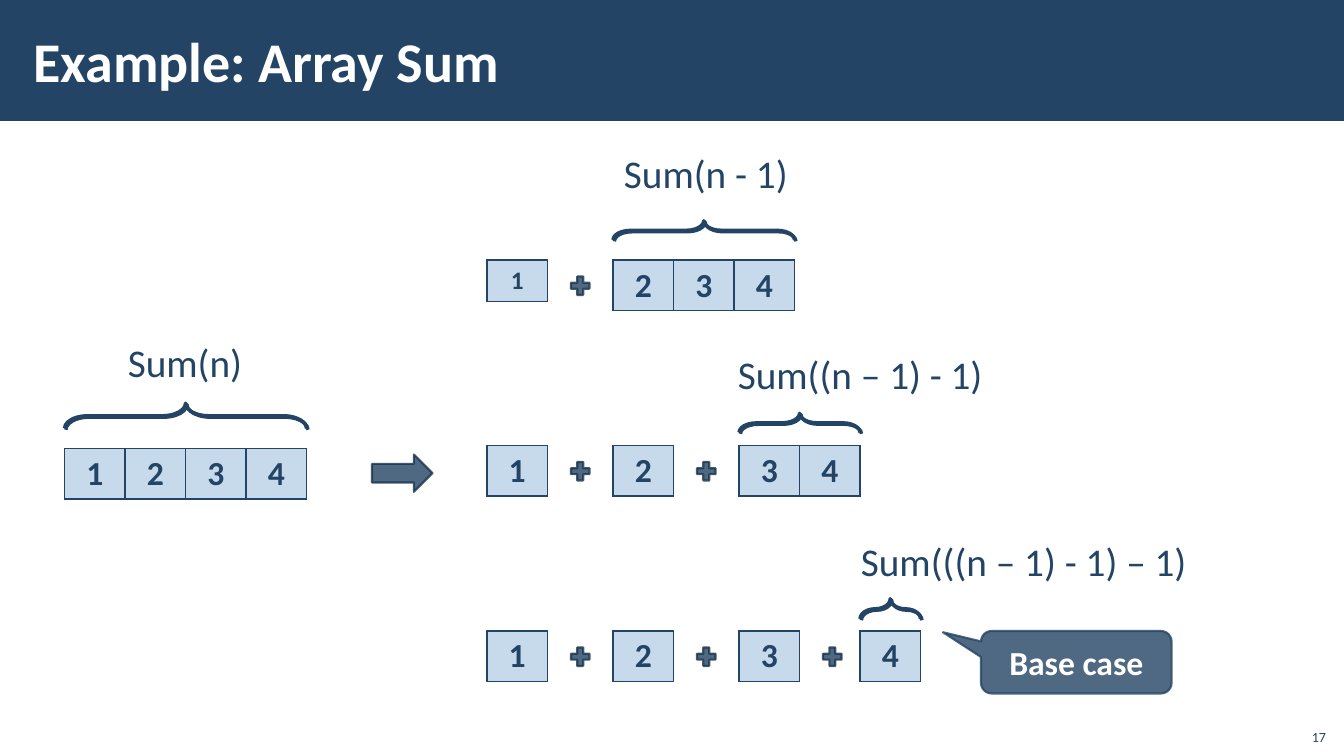
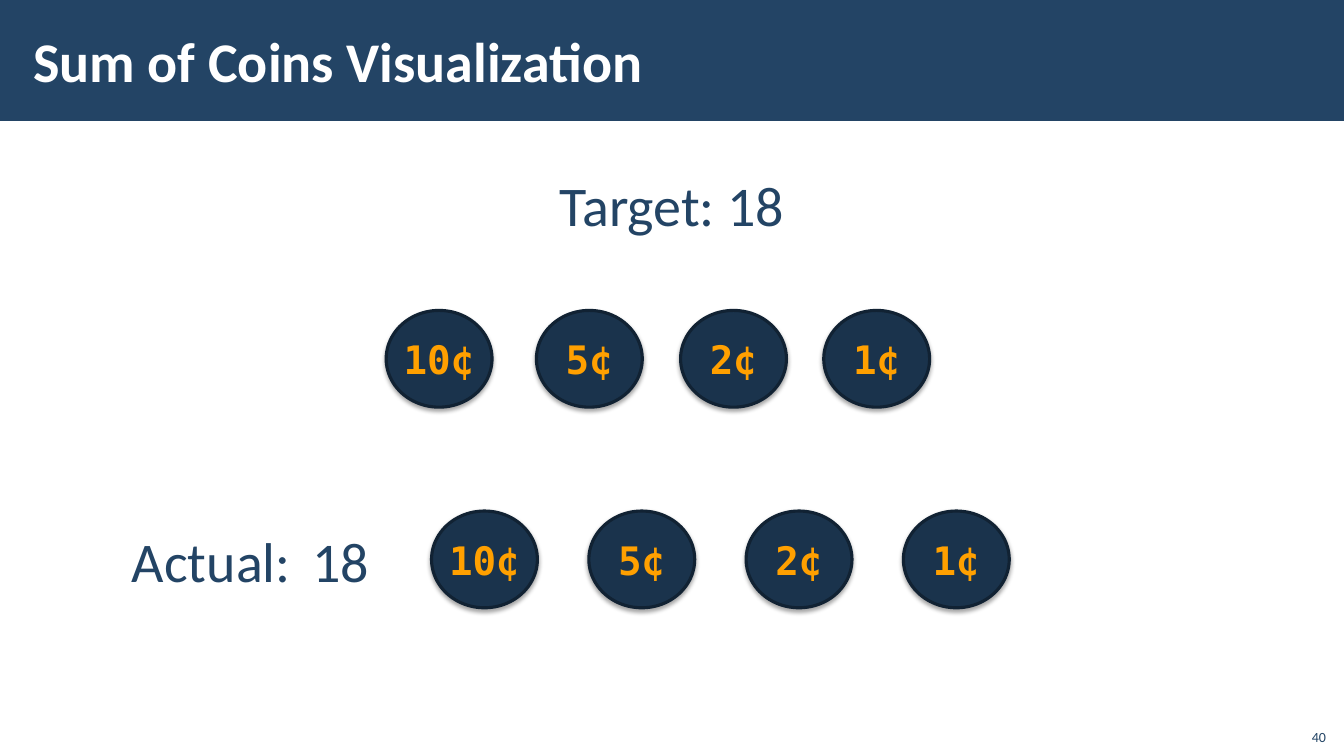
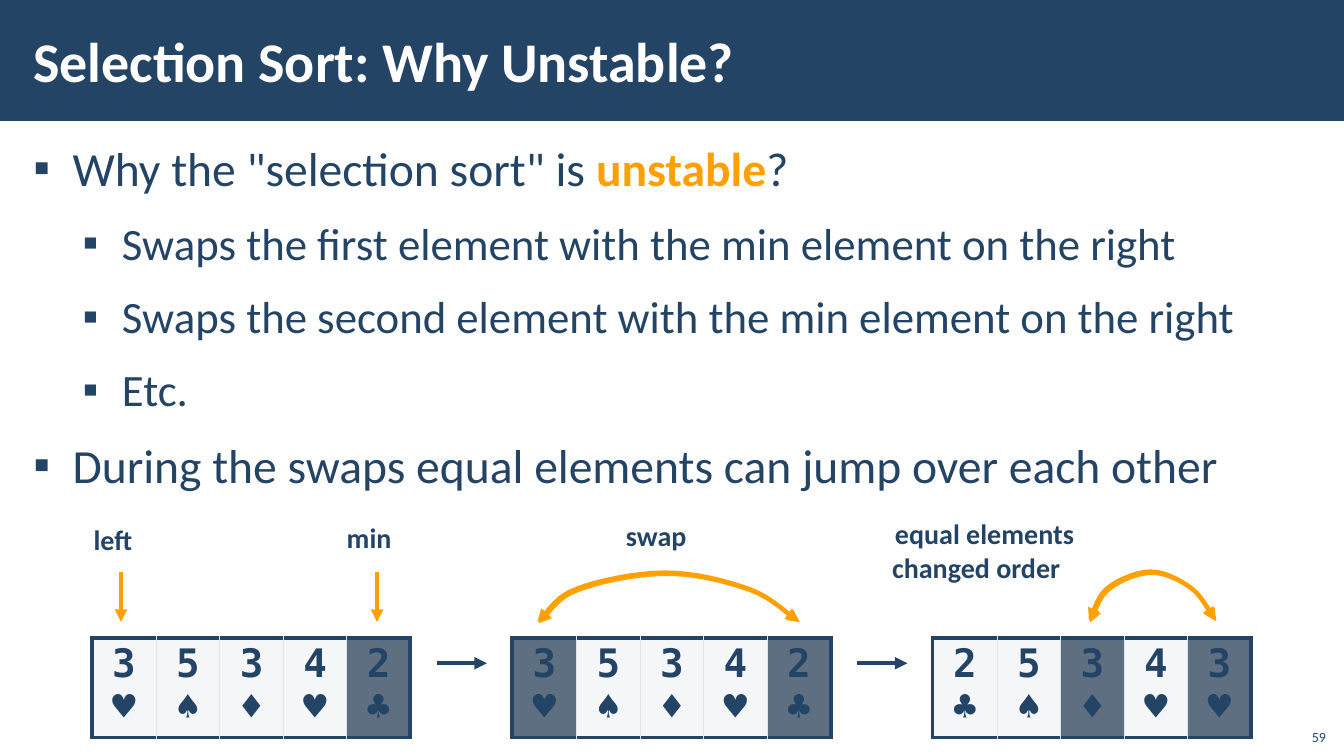
import pptx
import pptx.dml.color
import pptx.enum.shapes
import pptx.enum.text
import pptx.oxml.ns
import pptx.oxml.xmlchemy
import pptx.util

PX = 9144
NAVY, DEEP, INK, ORANGE, WHITE = "234465", "1A334C", "112233", "FFA000", "FFFFFF"
PALE, MIST = "C7DAEC", "E0E3E9"
SANS, MONO = "Calibri", "DejaVu Sans Mono"
SHAPE = pptx.enum.shapes.MSO_SHAPE
ALIGN = pptx.enum.text.PP_ALIGN
ANCHOR = pptx.enum.text.MSO_ANCHOR
FIT = pptx.enum.text.MSO_AUTO_SIZE
qn = pptx.oxml.ns.qn

CELL = 60
TERM_OFFSETS = (0, 125, 250, 370)
ARC = ((0, 1), (.03, .9), (.06, .49), (.15, .33), (.23, .16), (.38, 0), (.49, 0),
       (.6, 0), (.72, .16), (.81, .33), (.9, .5), (.96, .86), (1, .98))


def px(*values):
    return [pptx.util.Emu(round(v * PX)) for v in values]


def rgb(color):
    return pptx.dml.color.RGBColor.from_string(color)


def put(obj, fmt):
    for name, value in fmt.items():
        setattr(obj, name, value)


def add_xml(parent, tag, **attrs):
    el = pptx.oxml.xmlchemy.OxmlElement(tag)
    for name, value in attrs.items():
        el.set(name, str(value))
    parent.append(el)
    return el


def add_color(parent, color, alpha=100):
    clr = add_xml(parent, "a:srgbClr", val=color)
    if alpha < 100:
        add_xml(clr, "a:alpha", val=alpha * 1000)


def paint(fill, color, alpha=100):
    fill.solid()
    fill.fore_color.rgb = rgb(color)
    if alpha < 100:
        clr = fill._xPr.find(qn("a:solidFill")).find(qn("a:srgbClr"))
        add_xml(clr, "a:alpha", val=alpha * 1000)


def stroke(line, color, width, alpha=100):
    paint(line.fill, color, alpha)
    line.width = pptx.util.Pt(width)


def add_run(p, text, size, color=NAVY, bold=False, font=SANS):
    r = p.add_run()
    r.text = text
    put(r.font, {"size": pptx.util.Pt(size), "name": font, "bold": bold})
    r.font.color.rgb = rgb(color)


def drop_shadow(sp, color, alpha, blur, dist, angle):
    sp.shadow.inherit = False
    effects = sp.element.spPr.find(qn("a:effectLst"))
    shadow = add_xml(effects, "a:outerShdw", blurRad=round(blur * 12700),
                     dist=round(dist * 12700), dir=angle * 60000, rotWithShape=0)
    add_color(shadow, color, alpha)


def add_shape(s, kind, box, fill=None, alpha=100, line=None, width=1.5):
    sp = s.shapes.add_shape(kind, *px(*box))
    sp.shadow.inherit = False
    if fill:
        paint(sp.fill, fill, alpha)
    else:
        sp.fill.background()
    if line:
        stroke(sp.line, line, width, alpha)
    else:
        sp.line.fill.background()
    return sp


def fill_text(sp, text, size, color, font=SANS, inset=None):
    tf = sp.text_frame
    tf.vertical_anchor = ANCHOR.MIDDLE
    if inset is not None:
        put(tf, dict.fromkeys(("margin_left", "margin_top", "margin_right", "margin_bottom"), inset))
    p = tf.paragraphs[0]
    p.alignment = ALIGN.CENTER
    add_run(p, text, size, color, True, font)


def add_label(s, box, lines, size, bold=False):
    tf = s.shapes.add_textbox(*px(*box)).text_frame
    put(tf, {"word_wrap": False, "auto_size": FIT.SHAPE_TO_FIT_TEXT})
    for i, (text, align) in enumerate(lines):
        p = tf.paragraphs[0] if i == 0 else tf.add_paragraph()
        p.alignment = align
        add_run(p, text, size, NAVY, bold)


def add_border(cell, **sides):
    tcPr = cell._tc.get_or_add_tcPr()
    for side in "LRTB":
        color, width = sides[side]
        ln = add_xml(tcPr, "a:ln" + side, w=width * 12700)
        add_color(add_xml(ln, "a:solidFill"), color)


def add_cells(s, x, y, widths, height):
    frame = s.shapes.add_table(1, len(widths), *px(x, y, sum(widths), height))
    table = frame.table
    put(table, {"first_row": False, "horz_banding": False})
    for column, width in zip(table.columns, widths):
        column.width = px(width)[0]
    return table.rows[0].cells


def add_array(s, x, y, values, size=24):
    edge = (NAVY, 1)
    for cell, value in zip(add_cells(s, x, y, [CELL] * len(values), 41), values):
        add_border(cell, L=edge, R=edge, T=edge, B=edge)
        paint(cell.fill, PALE)
        p = cell.text_frame.paragraphs[0]
        p.alignment = ALIGN.CENTER
        add_run(p, value, size, NAVY, True)


def add_brace(s, x, y, w, h):
    box = (x + (w - h) / 2, y + (h - w) / 2, h, w)
    sp = add_shape(s, SHAPE.LEFT_BRACE, box, line=NAVY, width=2.5)
    sp.rotation = 90
    sp.adjustments[0], sp.adjustments[1] = .919, .5
    drop_shadow(sp, NAVY, 100, 0, 1.4, 45)


def add_sum_row(s, x, y, terms, label, label_box, brace_gap, brace_height, first_size=24):
    for i, values in enumerate(terms):
        left = x + TERM_OFFSETS[i]
        add_array(s, left, y, values, first_size if i == 0 else 24)
        if i:
            plus = (x + 80 + 125 * (i - 1), y + 13, 25, 25)
            add_shape(s, SHAPE.MATH_PLUS, plus, NAVY, 80, DEEP)
    add_brace(s, left, y - brace_gap, CELL * len(terms[-1]), brace_height)
    dx, dy, w = label_box
    add_label(s, (left + dx, y + dy, w, 57), [(label, ALIGN.LEFT)], 28)


def add_coins(s, x, y, offsets):
    for dx, text in zip(offsets, ("10¢", "5¢", "2¢", "1¢")):
        sp = add_shape(s, SHAPE.OVAL, (x + dx, y, 105, 96), DEEP, line=INK, width=2.25)
        drop_shadow(sp, "000000", 35, 3.1, 1.8, 90)
        fill_text(sp, text, 28, ORANGE, MONO, 0)


def add_cards(s, x, y, cards, dark):
    thick, thin = (NAVY, 3), (MIST, 1)
    last = len(cards) - 1
    for i, cell in enumerate(add_cells(s, x, y, [64, 63, 63, 63, 63], 41)):
        add_border(cell, L=thin if i else thick, R=thin if i < last else thick, T=thick, B=thick)
        if i in dark:
            paint(cell.fill, DEEP, 70)
        else:
            paint(cell.fill, MIST, 30)
        p = cell.text_frame.paragraphs[0]
        put(p, {"alignment": ALIGN.CENTER, "line_spacing": .95})
        add_run(p, cards[i], 28, NAVY, True, MONO)


def add_arrow(s, x1, y1, x2, y2, color):
    line = s.shapes.add_connector(pptx.enum.shapes.MSO_CONNECTOR.STRAIGHT, *px(x1, y1, x2, y2))
    stroke(line.line, color, 3)
    add_xml(line.line._get_or_add_ln(), "a:tailEnd", type="triangle")
    add_xml(line.element.spPr, "a:effectLst")


def add_swap_arc(s, x, y, w, h, steps=10):
    nodes = [(x + w * u, y + h * v) for u, v in ARC]
    points = nodes[:1]
    for k in range(0, len(nodes) - 1, 3):
        a, b, c, d = nodes[k:k + 4]
        for i in range(1, steps + 1):
            t = i / steps
            points.append([(1 - t) ** 3 * a[j] + 3 * t * (1 - t) ** 2 * b[j]
                           + 3 * t * t * (1 - t) * c[j] + t ** 3 * d[j] for j in (0, 1)])
    builder = s.shapes.build_freeform(*px(*points[0]), scale=1.0)
    builder.add_line_segments([px(*point) for point in points[1:]], close=False)
    sp = builder.convert_to_shape()
    sp.fill.background()
    stroke(sp.line, ORANGE, 3)
    ln = sp.line._get_or_add_ln()
    for end in ("a:headEnd", "a:tailEnd"):
        add_xml(ln, end, type="triangle")
    drop_shadow(sp, "FFA50D", 100, 0, 1.4, 45)


def place(sp, box, anchor):
    put(sp, dict(zip(("left", "top", "width", "height"), px(*box))))
    left, top = px(12, 4)
    put(sp.text_frame, {"margin_left": left, "margin_right": left, "margin_top": top,
                        "margin_bottom": top, "vertical_anchor": anchor,
                        "word_wrap": True, "auto_size": FIT.NONE})
    return sp.text_frame


def new_slide(prs, layout, title, number):
    s = prs.slides.add_slide(prs.slide_layouts[layout])
    p = place(s.shapes.title, (21, 11, 1063, 97), ANCHOR.MIDDLE).paragraphs[0]
    p.alignment = ALIGN.LEFT
    add_run(p, title, 40, WHITE, True)
    tf = s.shapes.add_textbox(*px(1285, 712, 40, 32)).text_frame
    put(tf, {"word_wrap": True, "vertical_anchor": ANCHOR.BOTTOM})
    tf.paragraphs[0].alignment = ALIGN.RIGHT
    add_run(tf.paragraphs[0], number, 10)
    return s


def add_band(prs, s):
    band = add_shape(s, SHAPE.RECTANGLE, (0, 0, 1334, 120), NAVY)
    prs.slide_master.shapes.element.insert(2, band.element)


def add_bullets(tf, items):
    for i, (level, size, runs) in enumerate(items):
        p = tf.paragraphs[0] if i == 0 else tf.add_paragraph()
        put(p, {"level": level, "alignment": ALIGN.LEFT, "line_spacing": 1.05,
                "space_before": pptx.util.Pt(6), "space_after": pptx.util.Pt(6)})
        pPr = p._p.get_or_add_pPr()
        margin, indent = px(39 + 49 * level, -39)
        pPr.set("marL", str(int(margin)))
        pPr.set("indent", str(int(indent)))
        add_xml(pPr, "a:buChar", char="▪")
        for text, color, bold in runs:
            add_run(p, text, size, color, bold)


def array_sum_slide(prs):
    s = new_slide(prs, 5, "Example: Array Sum", "17")
    add_band(prs, s)
    add_sum_row(s, 64, 445, ["1234"], "Sum(n)", (53, -114, 135), 45, 25)
    add_shape(s, SHAPE.RIGHT_ARROW, (369, 451, 60, 37), NAVY, 80, DEEP)
    add_sum_row(s, 483, 258, ["1", "234"], "Sum(n - 1)", (1, -115, 185), 39, 19, 18)
    add_sum_row(s, 483, 442, ["1", "2", "34"], "Sum((n – 1) - 1)", (-11, -99, 266), 32, 19)
    add_sum_row(s, 483, 626, "1234", "Sum(((n – 1) - 1) – 1)", (-9, -98, 359), 32, 20)
    sp = add_shape(s, SHAPE.ROUNDED_RECTANGULAR_CALLOUT, (973, 626, 189, 62), NAVY, 80, NAVY)
    for i, value in enumerate((-.7, -.48, .17)):
        sp.adjustments[i] = value
    fill_text(sp, "Base case", 24, WHITE)


def coins_slide(prs):
    s = new_slide(prs, 5, "Sum of Coins Visualization", "40")
    add_coins(s, 383, 308, (0, 149, 292, 434))
    add_coins(s, 428, 507, range(0, 469, 156))
    for x, y, w, text in ((545, 164, 246, "Target: 18"), (121, 517, 179, "Actual:"), (300, 517, 77, "18")):
        add_label(s, (x, y, w, 77), [(text, ALIGN.LEFT)], 40)


def selection_sort_slide(prs):
    s = new_slide(prs, 1, "Selection Sort: Why Unstable?", "59")
    add_bullets(place(s.placeholders[1], (21, 131, 1292, 605), ANCHOR.TOP), [
        (0, 34, [("Why the \"selection sort\" is ", NAVY, False), ("unstable", ORANGE, True),
                 ("?", NAVY, False)]),
        (1, 32, [("Swaps the first element with the min element on the right", NAVY, False)]),
        (1, 32, [("Swaps the second element with the min element on the right", NAVY, False)]),
        (1, 32, [("Etc.", NAVY, False)]),
        (0, 34, [("During the swaps equal elements can jump over each other", NAVY, False)]),
    ])
    before = ("3♥", "5♠", "3♦", "4♥", "2♣")
    after = ("2♣", "5♠", "3♦", "4♥", "3♥")
    stages = ((before, (4,)), (before, (0, 4)), (after, (2, 4)))
    for i, (cards, dark) in enumerate(stages):
        x = 91 + 417 * i
        add_cards(s, x, 633, cards, dark)
        if i:
            add_arrow(s, x - 75, 658, x - 25, 658, NAVY)
    for x in (120, 374):
        add_arrow(s, x, 567, x, 617, ORANGE)
    for box in ((533, 568, 259, 49), (1080, 567, 125, 49)):
        add_swap_arc(s, *box)
    for x, y, w, text in ((83, 513, 60, "left"), (334, 511, 65, "min"), (611, 509, 81, "swap")):
        add_label(s, (x, y, w, 44), [(text, ALIGN.LEFT)], 20, True)
    add_label(s, (875, 508, 203, 77),
              [("equal elements", ALIGN.CENTER), ("changed order", ALIGN.LEFT)], 20, True)


def main():
    prs = pptx.Presentation()
    prs.slide_width, prs.slide_height = px(1333, 750)
    array_sum_slide(prs)
    coins_slide(prs)
    selection_sort_slide(prs)
    prs.save("out.pptx")


if __name__ == "__main__":
    main()
